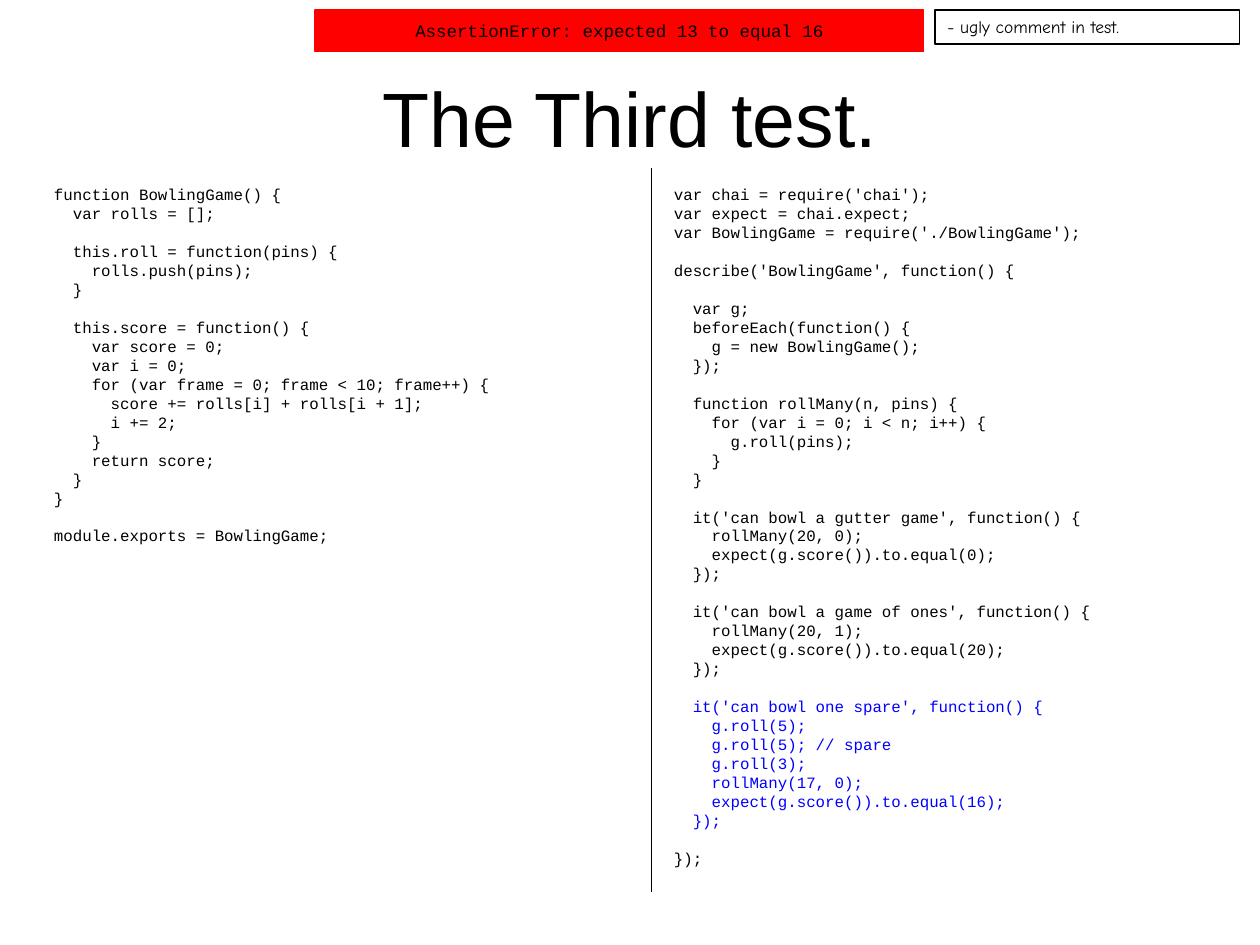
from dataclasses import dataclass
from typing import Optional

import pptx
import pptx.dml.color
import pptx.enum.shapes
import pptx.enum.text
import pptx.oxml.ns
import pptx.util
from lxml import etree

Inches, Pt = pptx.util.Inches, pptx.util.Pt
RGB = pptx.dml.color.RGBColor
ALIGN, ANCHOR = pptx.enum.text.PP_ALIGN, pptx.enum.text.MSO_ANCHOR


@dataclass(frozen=True)
class Theme:
    ink: RGB = RGB(0, 0, 0)
    paper: RGB = RGB(255, 255, 255)
    added: RGB = RGB(0, 0, 255)
    failure: RGB = RGB(255, 0, 0)
    heading_font: str = "Arial"
    code_font: str = "Courier New"
    note_font: str = "Comic Neue"
    title_size: float = 44
    code_size: float = 9
    label_size: float = 10
    code_leading: float = 10.84
    line_width: float = 0.75


@dataclass(frozen=True)
class CodePanel:
    left: float
    height: float
    code: str
    added_stanza: Optional[int] = None


@dataclass(frozen=True)
class Label:
    text: str
    box: tuple[float, float, float, float]
    fill: RGB
    line: RGB
    font: str
    frame: dict
    align: ALIGN


THEME = Theme()

GAME_CODE = """\
function BowlingGame() {
  var rolls = [];

  this.roll = function(pins) {
    rolls.push(pins);
  }

  this.score = function() {
    var score = 0;
    var i = 0;
    for (var frame = 0; frame < 10; frame++) {
      score += rolls[i] + rolls[i + 1];
      i += 2;
    }
    return score;
  }
}

module.exports = BowlingGame;"""

TEST_CODE = """\
var chai = require('chai');
var expect = chai.expect;
var BowlingGame = require('./BowlingGame');

describe('BowlingGame', function() {

  var g;
  beforeEach(function() {
    g = new BowlingGame();
  });

  function rollMany(n, pins) {
    for (var i = 0; i < n; i++) {
      g.roll(pins);
    }
  }

  it('can bowl a gutter game', function() {
    rollMany(20, 0);
    expect(g.score()).to.equal(0);
  });

  it('can bowl a game of ones', function() {
    rollMany(20, 1);
    expect(g.score()).to.equal(20);
  });

  it('can bowl one spare', function() {
    g.roll(5);
    g.roll(5); // spare
    g.roll(3);
    rollMany(17, 0);
    expect(g.score()).to.equal(16);
  });

});"""

PANELS = [
    CodePanel(0.33, 2.96, GAME_CODE),
    CodePanel(5.25, 5.52, TEST_CODE, added_stanza=6),
]

LABELS = [
    Label("- ugly comment in test.", (7.42, 0.08, 2.42, 0.27), THEME.paper, THEME.ink,
          THEME.note_font, {"word_wrap": True, "vertical_anchor": ANCHOR.TOP}, ALIGN.LEFT),
    Label("AssertionError: expected 13 to equal 16", (2.5, 0.08, 4.83, 0.33),
          THEME.failure, THEME.failure, THEME.code_font,
          {"word_wrap": False, "vertical_anchor": ANCHOR.MIDDLE}, ALIGN.CENTER),
]


def apply(target, values: dict) -> None:
    for name, value in values.items():
        setattr(target, name, value)


def add_text(p, text: str, font: str, size: float, color: RGB = THEME.ink) -> None:
    r = p.add_run()
    r.text = text
    apply(r.font, {"name": font, "size": Pt(size)})
    r.font.color.rgb = color


def set_title(s, text: str) -> None:
    sp = s.shapes.title
    apply(sp, {"left": Inches(0.5), "top": Inches(0.3),
               "width": Inches(9), "height": Inches(1.25)})
    tf = sp.text_frame
    tf.vertical_anchor = ANCHOR.MIDDLE
    p = tf.paragraphs[0]
    p.alignment = ALIGN.CENTER
    add_text(p, text, THEME.heading_font, THEME.title_size)


def add_code(s, panel: CodePanel) -> None:
    sp = s.shapes.add_textbox(Inches(panel.left), Inches(1.42),
                              Inches(4.42), Inches(panel.height))
    tf = sp.text_frame
    tf.word_wrap = True
    p = tf.paragraphs[0]
    for i, stanza in enumerate(panel.code.split("\n\n")):
        color = THEME.added if i == panel.added_stanza else THEME.ink
        for j, line in enumerate(stanza.split("\n")):
            if i or j:
                p = tf.add_paragraph()
            p.line_spacing = Pt(THEME.code_leading)
            if i and not j:
                p.space_before = Pt(THEME.code_leading)
            add_text(p, line, THEME.code_font, THEME.code_size, color)


def add_divider(s, x: float, top: float, bottom: float) -> None:
    line = s.shapes.add_connector(pptx.enum.shapes.MSO_CONNECTOR.STRAIGHT,
                                  Inches(x), Inches(top), Inches(x), Inches(bottom))
    line.line.color.rgb = THEME.ink
    line.line.width = Pt(THEME.line_width)
    etree.SubElement(line._element.spPr, pptx.oxml.ns.qn("a:effectLst"))


def add_label(s, label: Label) -> None:
    sp = s.shapes.add_shape(pptx.enum.shapes.MSO_SHAPE.RECTANGLE, *map(Inches, label.box))
    sp.shadow.inherit = False
    sp.fill.solid()
    sp.fill.fore_color.rgb = label.fill
    sp.line.color.rgb = label.line
    sp.line.width = Pt(THEME.line_width)
    tf = sp.text_frame
    apply(tf, label.frame)
    p = tf.paragraphs[0]
    p.alignment = label.align
    add_text(p, label.text, label.font, THEME.label_size)


def main() -> None:
    prs = pptx.Presentation()
    apply(prs, {"slide_width": Inches(10), "slide_height": Inches(7.5)})
    s = prs.slides.add_slide(prs.slide_layouts.get_by_name("Title Only"))
    set_title(s, "The Third test.")
    for panel in PANELS:
        add_code(s, panel)
    add_divider(s, 5.17, 1.33, 7.08)
    for label in LABELS:
        add_label(s, label)
    prs.save("out.pptx")


if __name__ == "__main__":
    main()
